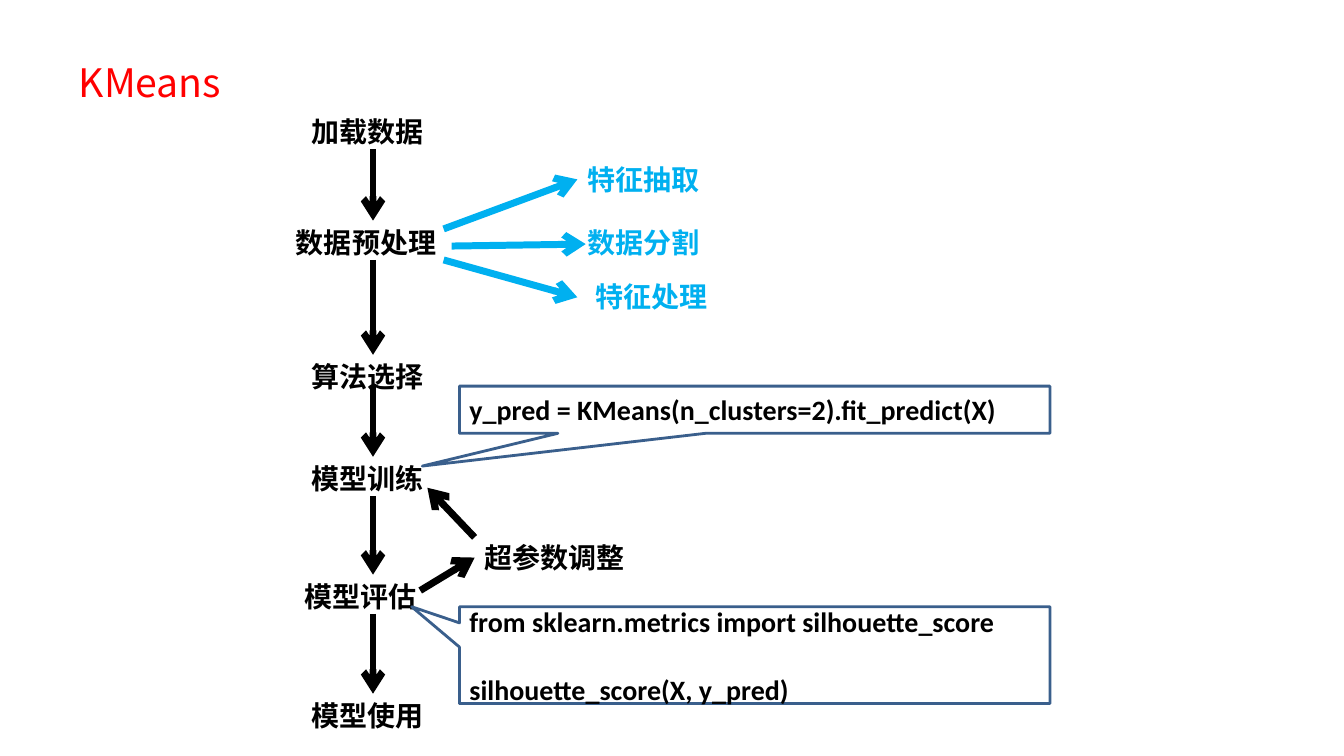
from pptx import Presentation
from pptx import util as u
from pptx.dml import color
from pptx.enum import shapes, text
from pptx.oxml import ns
from lxml import etree

BLACK, BLUE, RED, WHITE, NAVY = "000000", "00B0F0", "FF0000", "FFFFFF", "3A5F8C"


def rgb(value):
    return color.RGBColor.from_string(value)


def add_run(p, words, fill, size=20, font="Calibri", bold=True):
    p.alignment = text.PP_ALIGN.LEFT
    r = p.add_run()
    r.text = words
    r.font.size = u.Pt(size)
    r.font.name = font
    r.font.bold = bold
    r.font.color.rgb = rgb(fill)
    etree.SubElement(r.font._element, ns.qn("a:ea"), typeface="Noto Sans CJK SC")


prs = Presentation()
prs.slide_width, prs.slide_height = u.Cm(33.87), u.Cm(19.05)
s = prs.slides.add_slide(prs.slide_layouts[5])

title = s.shapes.title
title.left, title.top, title.width, title.height = u.Cm(1.73), u.Cm(1.35), u.Cm(4.32), u.Cm(1.45)
tf = title.text_frame
tf.word_wrap = False
tf.auto_size = text.MSO_AUTO_SIZE.NONE
tf.vertical_anchor = text.MSO_ANCHOR.TOP
add_run(tf.paragraphs[0], "KMeans", RED, 28, "Noto Sans CJK SC", False)

labels = [
    ("加载数据", 7.59, 2.77, BLACK),
    ("数据预处理", 7.21, 5.56, BLACK),
    ("算法选择", 7.59, 8.94, BLACK),
    ("模型训练", 7.59, 11.51, BLACK),
    ("模型评估", 7.42, 14.48, BLACK),
    ("模型使用", 7.59, 17.48, BLACK),
    ("超参数调整", 11.96, 13.49, BLACK),
    ("特征抽取", 14.55, 3.96, BLUE),
    ("数据分割", 14.55, 5.56, BLUE),
    ("特征处理", 14.76, 6.93, BLUE),
]
boxes = {}
for words, x, y, fill in labels:
    width = 0.54 + 0.71 * len(words)
    sp = s.shapes.add_textbox(u.Cm(x), u.Cm(y), u.Cm(width), u.Cm(1.12))
    sp.text_frame.word_wrap = False
    add_run(sp.text_frame.paragraphs[0], words, fill)
    boxes[words] = sp

steps = [(3.76, 5.56), (6.55, 8.94), (9.73, 11.51), (12.5, 14.48), (15.47, 17.48)]
arrows = [(9.4, top, 9.4, bottom, BLACK, None) for top, bottom in steps]
arrows += [
    (11.18, 5.77, 14.55, 4.52, BLUE, "特征抽取"),
    (11.38, 6.2, 14.76, 6.15, BLUE, None),
    (11.18, 6.55, 14.55, 7.49, BLUE, None),
    (11.96, 13.54, 10.77, 12.29, BLACK, None),
    (10.59, 14.88, 11.96, 14.05, BLACK, "超参数调整"),
]
for x1, y1, x2, y2, fill, target in arrows:
    arrow = s.shapes.add_connector(
        shapes.MSO_CONNECTOR.STRAIGHT, u.Cm(x1), u.Cm(y1), u.Cm(x2), u.Cm(y2))
    if target:
        arrow.end_connect(boxes[target], 1)
    arrow.line.color.rgb = rgb(fill)
    arrow.line.width = u.Pt(5)
    etree.SubElement(arrow.line._get_or_add_ln(), ns.qn("a:tailEnd"), type="arrow")
    etree.SubElement(arrow._element.spPr, ns.qn("a:effectLst"))

callouts = [
    (9.73, 1.19, (-0.563, 1.194), ["y_pred = KMeans(n_clusters=2).fit_predict(X)"]),
    (15.29, 2.44, (-0.581, -0.5),
     ["from sklearn.metrics import silhouette_score", "silhouette_score(X, y_pred)"]),
]
for top, height, tip, lines in callouts:
    sp = s.shapes.add_shape(
        shapes.MSO_SHAPE.RECTANGULAR_CALLOUT, u.Cm(11.58), u.Cm(top), u.Cm(14.88), u.Cm(height))
    sp.adjustments[0], sp.adjustments[1] = tip
    sp.shadow.inherit = False
    sp.fill.solid()
    sp.fill.fore_color.rgb = rgb(WHITE)
    sp.line.color.rgb = rgb(NAVY)
    sp.line.width = u.Pt(2)
    tf = sp.text_frame
    tf.word_wrap = True
    tf.vertical_anchor = text.MSO_ANCHOR.MIDDLE
    for i, line in enumerate(lines):
        p = tf.add_paragraph() if i else tf.paragraphs[0]
        p.space_before = u.Pt(24 * i)
        add_run(p, line, BLACK)

prs.save("out.pptx")
